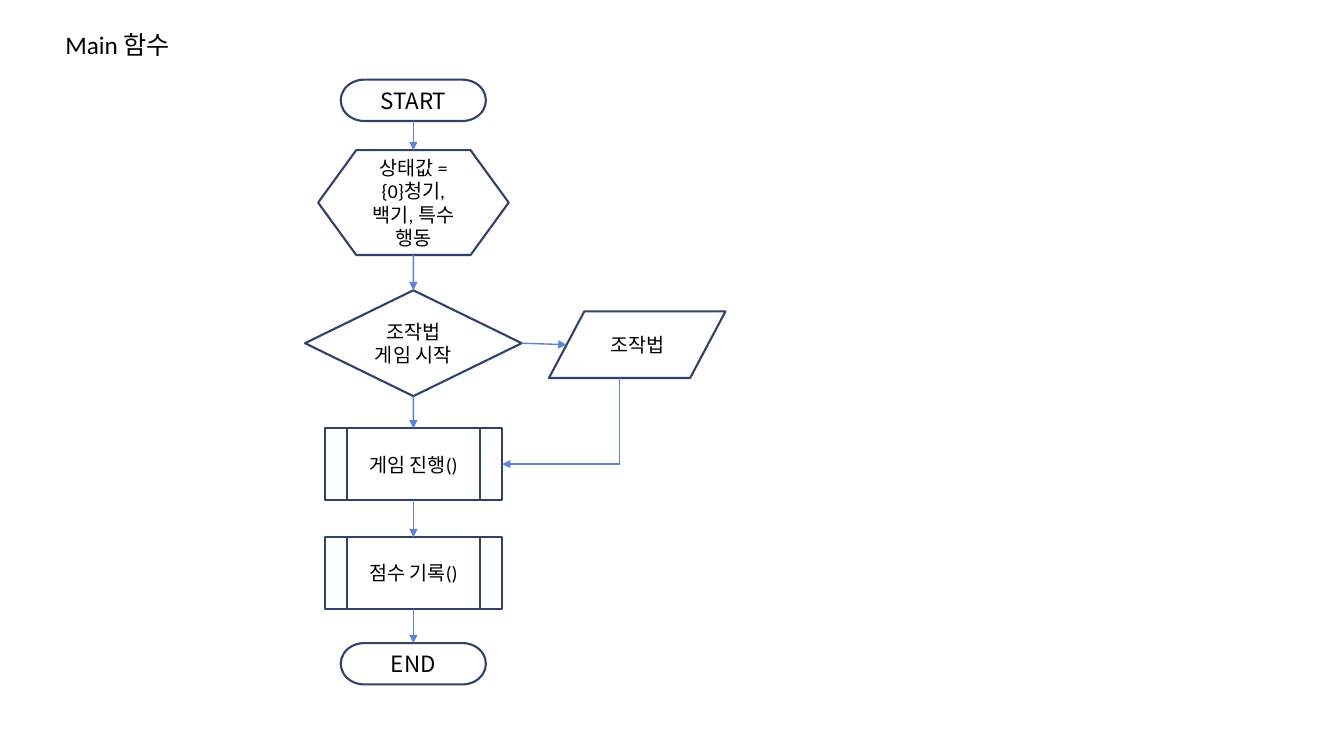
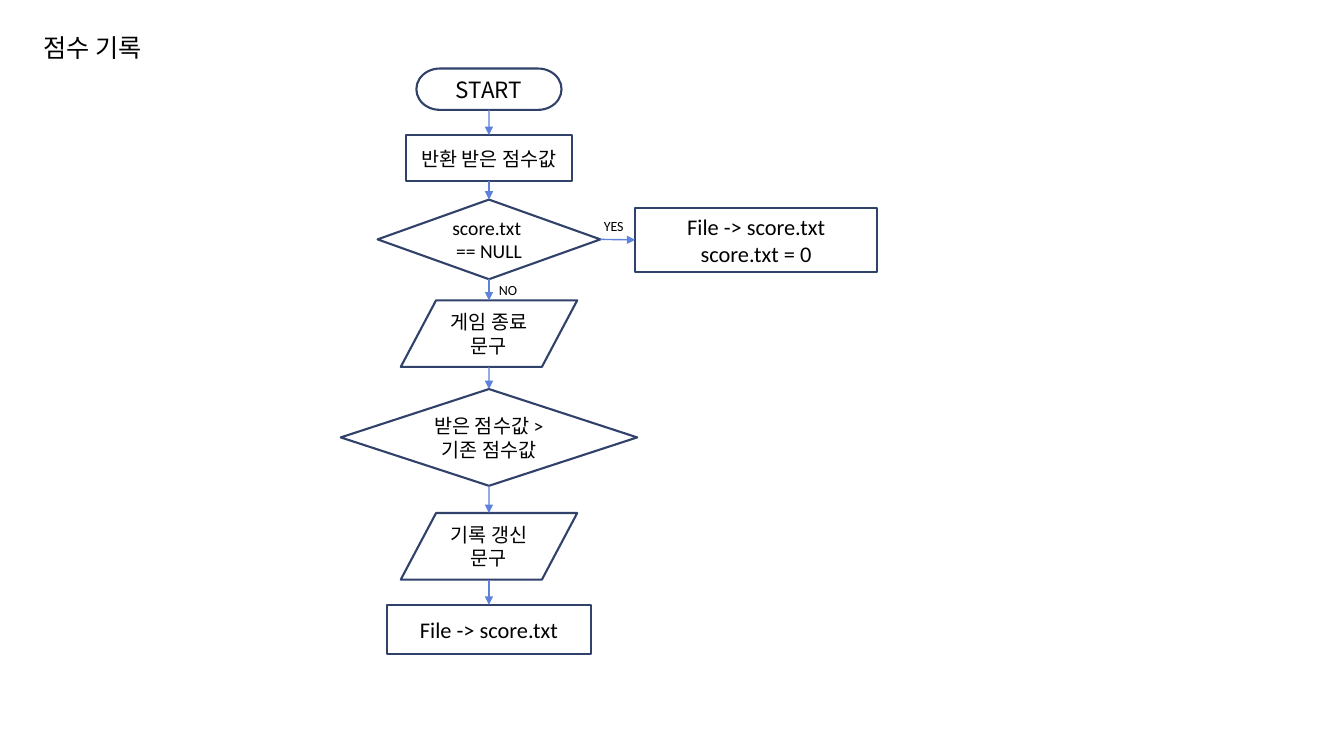
from itertools import pairwise

from lxml import etree
from pptx import Presentation
from pptx import util as u
from pptx.dml.color import RGBColor
from pptx.enum import shapes, text
from pptx.oxml.ns import qn

COLORS = {"outline": "30416A", "arrow": "5E81D9", "text": "000000"}
LATIN, KOREAN = "Calibri", "Noto Sans CJK KR"
TOP, LEFT, BOTTOM, RIGHT = range(4)

# Preset shape, default width and default height of each kind of step
KINDS = {
    "terminal": (shapes.MSO_SHAPE.FLOWCHART_TERMINATOR, 1.44, 0.41),
    "preparation": (shapes.MSO_SHAPE.FLOWCHART_PREPARATION, 1.89, 1.04),
    "decision": (shapes.MSO_SHAPE.FLOWCHART_DECISION, 2.15, 1.05),
    "data": (shapes.MSO_SHAPE.FLOWCHART_DATA, 1.75, 0.66),
    "call": (shapes.MSO_SHAPE.FLOWCHART_PREDEFINED_PROCESS, 1.76, 0.71),
    "process": (shapes.MSO_SHAPE.FLOWCHART_PROCESS, 1.65, 0.46),
}
# Where each side is met, as fractions of width and height
SIDES = {TOP: (0.5, 0), LEFT: (0, 0.5), BOTTOM: (0.5, 1), RIGHT: (1, 0.5)}
SLANTED_LEFT = (0.1, 0.5)
SLANTED_FOOT = (0.4, 1)


def color(name):
    return RGBColor.from_string(COLORS[name])


def point_on(shape, fractions):
    across, down = fractions
    return (int(shape.left + shape.width * across),
            int(shape.top + shape.height * down))


class Flowchart:
    """Holds the shared style and the current slide."""

    def __init__(self):
        self.presentation = Presentation()
        self.presentation.slide_width = u.Inches(13.33)
        self.presentation.slide_height = u.Inches(7.5)
        self.slide = None

    def new_slide(self, title, left, top):
        layout = self.presentation.slide_layouts[6]
        self.slide = self.presentation.slides.add_slide(layout)
        self.label(title, left, top, 1.4, 0.4, 18, wrap=True)

    def fill_text(self, shape, content, size, font=LATIN, align=None):
        shape.text_frame.text = content
        style = {"size": u.Pt(size), "name": font}
        for paragraph in shape.text_frame.paragraphs:
            paragraph.alignment = align
            for run in paragraph.runs:
                for key, value in style.items():
                    setattr(run.font, key, value)
                run.font.color.rgb = color("text")
                east_asian = etree.SubElement(run.font._element, qn("a:ea"))
                east_asian.set("typeface", KOREAN)

    def label(self, content, left, top, width, height, size, wrap=False):
        box = self.slide.shapes.add_textbox(
            *map(u.Inches, (left, top, width, height)))
        self.fill_text(box, content, size)
        frame_format = {"word_wrap": wrap,
                        "auto_size": text.MSO_AUTO_SIZE.SHAPE_TO_FIT_TEXT}
        for key, value in frame_format.items():
            setattr(box.text_frame, key, value)

    def step(self, kind, content, center, top, width=None, height=None,
             size=14, font=LATIN):
        preset, usual_width, usual_height = KINDS[kind]
        width, height = width or usual_width, height or usual_height
        shape = self.slide.shapes.add_shape(
            preset, *map(u.Inches, (center - width / 2, top, width, height)))
        shape.shadow.inherit = False
        shape.fill.background()
        shape.line.color.rgb = color("outline")
        shape.line.width = u.Pt(1.5)
        self.fill_text(shape, content, size, font, text.PP_ALIGN.CENTER)
        shape.text_frame.vertical_anchor = text.MSO_ANCHOR.MIDDLE
        return shape

    def terminal(self, content, center, top):
        return self.step("terminal", content, center, top, size=16, font=KOREAN)

    def line(self, start, end, head=True):
        """Draw a straight line between two points."""
        connector = self.slide.shapes.add_connector(
            shapes.MSO_CONNECTOR.STRAIGHT, *start, *end)
        connector.line.color.rgb = color("arrow")
        connector.line.width = u.Pt(1)
        properties = connector._element.spPr
        if head:
            tail = etree.SubElement(properties.find(qn("a:ln")),
                                    qn("a:tailEnd"))
            tail.set("type", "triangle")
        etree.SubElement(properties, qn("a:effectLst"))
        return connector

    def arrow(self, source, source_side, target, target_side):
        """Link two steps; slanted data shapes have no mid-side sites."""
        slanted = KINDS["data"][0]
        target_spot = SIDES[target_side]
        if target.auto_shape_type == slanted and target_side == LEFT:
            target_spot = SLANTED_LEFT
        connector = self.line(point_on(source, SIDES[source_side]),
                              point_on(target, target_spot))
        if source.auto_shape_type != slanted:
            connector.begin_connect(source, source_side)
        if target.auto_shape_type != slanted:
            connector.end_connect(target, target_side)

    def chain(self, steps):
        for upper, lower in pairwise(steps):
            self.arrow(upper, BOTTOM, lower, TOP)


def main_function(chart):
    chart.new_slide("Main 함수", 0.55, 0.24)
    center = 4.1

    # Main column
    start = chart.terminal("START", center, 0.79)
    setup = chart.step("preparation", "상태값 = {0}청기, 백기, 특수 행동",
                       center, 1.49)
    menu = chart.step("decision", "조작법\n게임 시작", center, 2.88)
    play = chart.step("call", "게임 진행()", center, 4.25)
    record = chart.step("call", "점수 기록()", center, 5.33)
    end = chart.terminal("END", center, 6.38)
    chart.chain([start, setup, menu, play, record, end])

    # Side branch that returns to the game
    controls = chart.step("data", "조작법", 6.32, 3.09)
    chart.arrow(menu, RIGHT, controls, LEFT)
    foot = point_on(controls, SLANTED_FOOT)
    play_side = point_on(play, SIDES[RIGHT])
    corner = (foot[0], play_side[1])
    chart.line(foot, corner, head=False)
    chart.line(corner, play_side).end_connect(play, RIGHT)


def score_record(chart):
    chart.new_slide("점수 기록", 0.33, 0.27)
    center = 4.85

    # Main column
    start = chart.terminal("START", center, 0.68)
    score = chart.step("process", "반환 받은 점수값", center, 1.34)
    missing = chart.step("decision", "score.txt \n== NULL", center, 1.98,
                         2.21, 0.79)
    game_over = chart.step("data", "게임 종료 문구", center, 2.98)
    higher = chart.step("decision", "받은 점수값 > 기존 점수값", center, 3.86,
                        2.94, 0.96)
    new_best = chart.step("data", "기록 갱신 문구", center, 5.09)
    save = chart.step("process", "File -> score.txt", center, 6, 2.03, 0.49,
                      size=16)
    chart.chain([start, score, missing, game_over, higher, new_best, save])

    # Side branch that creates the file
    create = chart.step("process", "File -> score.txt\nscore.txt = 0",
                        7.5, 2.06, 2.4, 0.64, size=16)
    chart.arrow(missing, RIGHT, create, LEFT)

    # Branch labels
    for answer, left, top in (("NO", 4.85, 2.74), ("YES", 5.89, 2.11)):
        chart.label(answer, left, top, 0.4, 0.27, 10)


def main():
    chart = Flowchart()
    main_function(chart)
    score_record(chart)
    chart.presentation.save("out.pptx")


if __name__ == "__main__":
    main()
